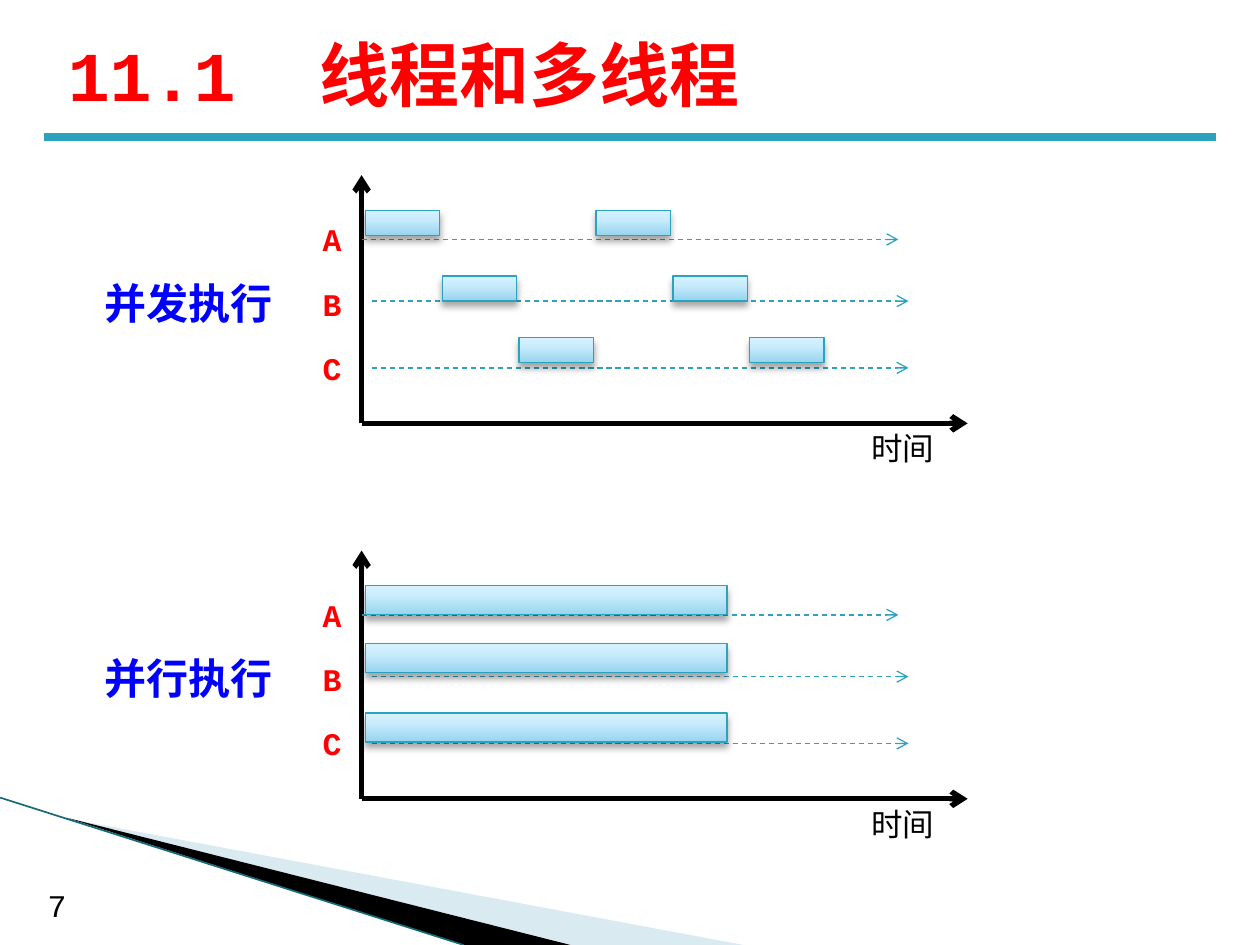
from lxml.etree import SubElement
from pptx import Presentation
from pptx.dml.color import RGBColor
from pptx.enum.dml import MSO_LINE
from pptx.enum.shapes import MSO_CONNECTOR, MSO_SHAPE
from pptx.enum.text import MSO_ANCHOR, MSO_AUTO_SIZE, PP_ALIGN
from pptx.oxml import parse_xml
from pptx.oxml.ns import nsdecls, qn
from pptx.util import Inches, Pt

RED = RGBColor(0xFF, 0, 0)
BLUE = RGBColor(0, 0, 0xFF)
BLACK = RGBColor(0, 0, 0)
TEAL = RGBColor(0x2D, 0xA2, 0xBF)
DEEP = RGBColor(0x16, 0x69, 0x7A)
PALE = RGBColor(0xD9, 0xEA, 0xF1)
FONT = "Courier New"
W, H = 10, 7.5

# Content: bars are (left, length) steps along the time axis, by track
TITLE = ("11.1", " ", "线程和多线程")
NAMES = ("A", "B", "C")
TIME = "时间"
STEP = 0.61
CHARTS = [
    {"name": "并发执行", "top": 1.39, "rows": (0.28, 0.80, 1.29),
     "size": (0.59, 0.2), "turns": 6},
    {"name": "并行执行", "top": 4.37, "rows": (0.28, 0.74, 1.29),
     "size": (2.87, 0.23), "turns": 3},
]
# Axis origin, axis lengths and the tracks below the axis top
LEFT, WIDE, TALL = 2.87, 4.81, 1.97
TRACKS = ((0, 0.51), (0.08, 1.0), (0.08, 1.53))
REACH = 4.26

GRAD = (f'<a:gradFill {nsdecls("a")} rotWithShape="1"><a:gsLst>'
        '<a:gs pos="0"><a:srgbClr val="96D4EE"/></a:gs>'
        '<a:gs pos="65000"><a:srgbClr val="C9ECFC"/></a:gs>'
        '<a:gs pos="100000"><a:srgbClr val="D7F2FF"/></a:gs>'
        '</a:gsLst><a:lin ang="16200000" scaled="0"/></a:gradFill>')
SHADE = (f'<a:effectLst {nsdecls("a")}><a:outerShdw blurRad="50800" '
         'dist="38100" dir="5400000" rotWithShape="0"><a:srgbClr val="000000">'
         '<a:alpha val="35000"/></a:srgbClr></a:outerShdw></a:effectLst>')

prs = Presentation()
prs.slide_width, prs.slide_height = Inches(W), Inches(H)
slide = prs.slides.add_slide(prs.slide_layouts[6])
shapes = slide.shapes


def text(words, x, y, w, h, size=18, color=BLACK, bold=False,
         align=PP_ALIGN.LEFT, grow=True, gap=0):
    box = shapes.add_textbox(Inches(x), Inches(y), Inches(w), Inches(h))
    frame = box.text_frame
    frame.word_wrap = True
    if grow:
        frame.auto_size = MSO_AUTO_SIZE.SHAPE_TO_FIT_TEXT
    else:
        frame.vertical_anchor = MSO_ANCHOR.MIDDLE
    para = frame.paragraphs[0]
    para.alignment = align
    for part in words:
        run = para.add_run()
        run.text = part
        run.font.name, run.font.size = FONT, Pt(size)
        run.font.bold, run.font.color.rgb = bold, color
        if part == " ":
            run.font._element.set("spc", str(gap * 100))


def line(x1, y1, x2, y2, color=TEAL, width=0.75, dash=False, arrow=False):
    rule = shapes.add_connector(MSO_CONNECTOR.STRAIGHT, Inches(x1), Inches(y1),
                                Inches(x2), Inches(y2))
    rule.line.color.rgb, rule.line.width = color, Pt(width)
    if dash:
        rule.line.dash_style = MSO_LINE.DASH
    if arrow:
        SubElement(rule.line._get_or_add_ln(), qn("a:tailEnd"), type="arrow")
    SubElement(rule._element.spPr, qn("a:effectLst"))


def wedge(points, color):
    pen = shapes.build_freeform(*map(Inches, points[0]), scale=1.0)
    pen.add_line_segments([(Inches(x), Inches(y)) for x, y in points[1:]])
    shape = pen.convert_to_shape()
    shape.shadow.inherit = False
    shape.fill.solid()
    shape.fill.fore_color.rgb = color
    shape.line.fill.background()


def bar(x, y, w, h):
    box = shapes.add_shape(MSO_SHAPE.RECTANGLE, Inches(x), Inches(y),
                           Inches(w), Inches(h))
    box.line.color.rgb, box.line.width = TEAL, Pt(0.75)
    props = box._element.spPr
    props.find(qn("a:prstGeom")).addnext(parse_xml(GRAD))
    props.append(parse_xml(SHADE))


def chart(name, top, rows, size, turns):
    base = top + TALL
    # Axes
    line(LEFT, base, LEFT, top, BLACK, 3, arrow=True)
    line(LEFT, base, LEFT + WIDE, base, BLACK, 3, arrow=True)
    text([TIME], 6.73, base, 0.87, 0.4, align=PP_ALIGN.CENTER)
    # Tracks and their names
    for i, (shift, drop) in enumerate(TRACKS):
        x, y = LEFT + shift, top + drop
        line(x, y, x + REACH, y, dash=True, arrow=True)
        text([NAMES[i]], 2.01, top + 0.31 + 0.51 * i, 0.8, 0.4, color=RED,
             bold=True, align=PP_ALIGN.RIGHT)
    # Bars: short ones take turns, long ones all start at the axis
    for turn in range(turns):
        row = turn % len(rows)
        x = LEFT + 0.03 + (STEP * turn if turns > len(rows) else 0)
        bar(x, top + rows[row], *size)
    text([name], 0.63, top + 0.76, 1.73, 0.5, size=24, color=BLUE,
         bold=True, align=PP_ALIGN.CENTER)


# Corner decoration and title rule
wedge([(0.55, 6.5), (5.9, H), (4.54, H)], PALE)
wedge([(0.53, 6.49), (4.53, H), (3.68, H)], BLACK)
line(0, 6.33, 3.68, H, DEEP, 0.95)
line(0.35, 1.09, W - 0.35, 1.09, TEAL, 4.5)

# Page number, title and charts
text(["7"], 0.28, 6.98, 0.55, 0.4)
text(TITLE, 0.44, 0.16, 9, 0.85, size=40, color=RED, bold=True, grow=False,
     gap=24)
for item in CHARTS:
    chart(**item)

prs.save("out.pptx")
